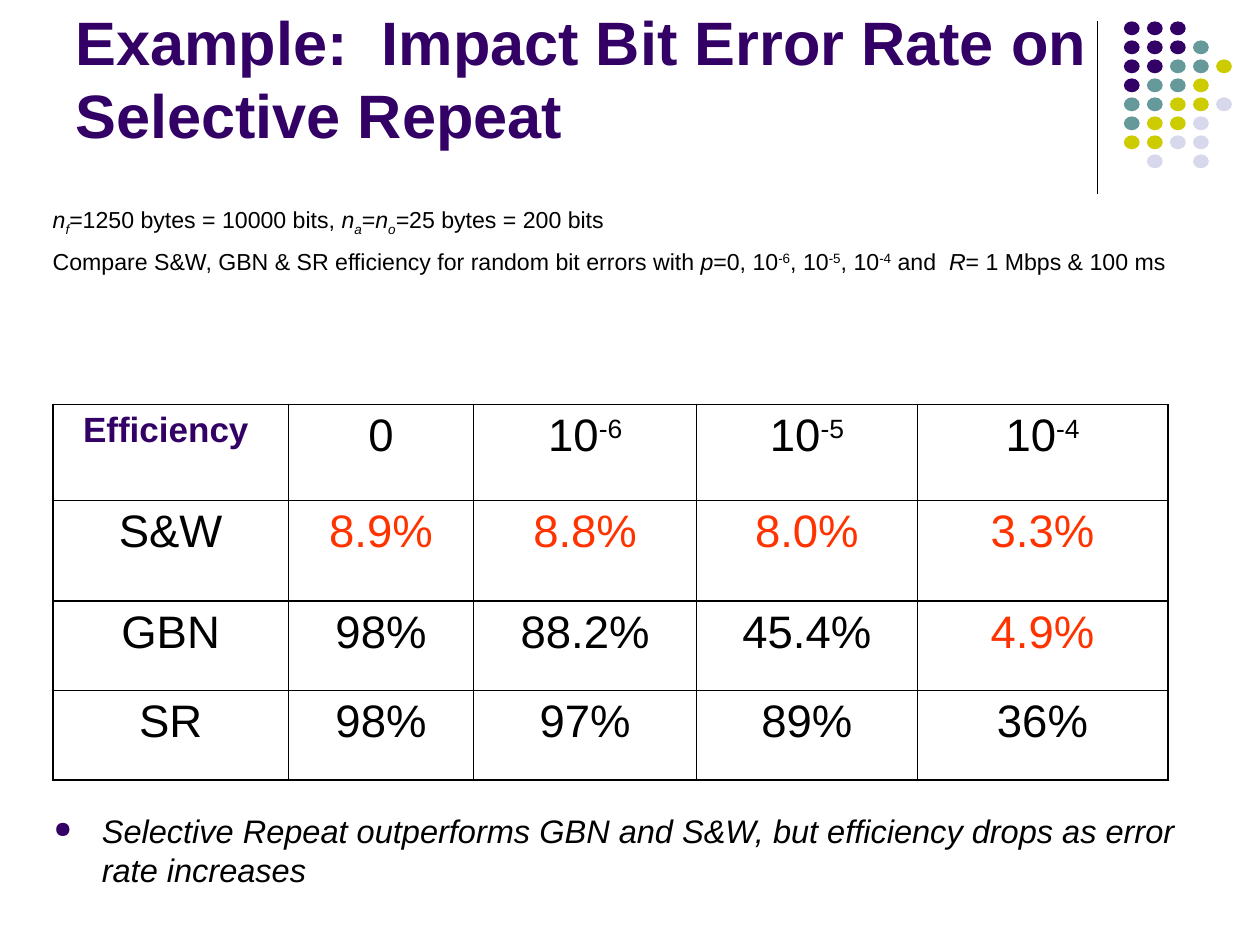
from dataclasses import dataclass
from lxml.etree import SubElement
from pptx import Presentation
from pptx.dml.color import RGBColor
from pptx.enum.shapes import MSO_CONNECTOR, MSO_SHAPE
from pptx.enum.text import MSO_ANCHOR, PP_ALIGN
from pptx.oxml import parse_xml
from pptx.oxml.ns import nsdecls, qn
from pptx.util import Inches, Pt


@dataclass(frozen=True)
class Theme:
    font: str = "Arial"
    ink: str = "000000"
    plum: str = "330066"
    teal: str = "669999"
    lime: str = "CCCC00"
    mist: str = "D8D8EC"
    red: str = "FF3300"
    title: float = 35
    body: float = 13.2
    head: float = 20
    cell: float = 26
    note: float = 18.6
    thin: float = 0.45
    thick: float = 1.08


LOOK = Theme()
WIDE, HIGH = 10, 7.5

DOTS = ["PPP", "PPPT", "PPTTL", "PTTL", "TTLLM", "TLLM", "LLMM", " M M"]
HUES = {"P": LOOK.plum, "T": LOOK.teal, "L": LOOK.lime, "M": LOOK.mist}

COLS = [18.7, 14.7, 17.7, 17.5, 19.9]
ROWS = [10.13, 10.67, 9.47, 9.47]
RATES = [
    ["Efficiency ", "0", *[[("10", ""), (p, "^")] for p in ("-6", "-5", "-4")]],
    ["S&W", "8.9%", "8.8%", "8.0%", "3.3%"],
    ["GBN", "98%", "88.2%", "45.4%", "4.9%"],
    ["SR", "98%", "97%", "89%", "36%"],
]
POOR = {(1, 1), (1, 2), (1, 3), (1, 4), (2, 4)}

SETUP = [
    [("n", "i"), ("f", "i_"), ("=1250 bytes = 10000 bits, ", ""), ("n", "i"),
     ("a", "i_"), ("=", ""), ("n", "i"), ("o", "i_"), ("=", "i"),
     ("25 bytes = 200 bits", "")],
    [("Compare S&W, GBN & SR efficiency for random bit errors with ", ""),
     ("p", "i"), ("=0, 10", ""), ("-6", "^"), (", 10", ""), ("-5", "^"),
     (", 10", ""), ("-4", "^"), (" and  ", ""), ("R", "i"),
     ("= 1 Mbps & 100 ms", "")],
]


def across(share):
    return Inches(WIDE * share / 100)


def down(share):
    return Inches(HIGH * share / 100)


def area(left, top, width, height):
    return across(left), down(top), across(width), down(height)


def tint(code):
    return RGBColor.from_string(code)


def mark(para, code):
    props = para._p.get_or_add_pPr()
    props.set("marL", str(Inches(0.38)))
    props.set("indent", str(-Inches(0.38)))
    color = SubElement(props, qn("a:buClr"))
    SubElement(color, qn("a:srgbClr"), val=code)
    SubElement(props, qn("a:buSzPct"), val="70000")
    SubElement(props, qn("a:buChar"), char="●")


def write(frame, *paras, size, color=LOOK.ink, bold=False, align=PP_ALIGN.LEFT,
          anchor=MSO_ANCHOR.TOP, bullet=None):
    frame.word_wrap = True
    frame.vertical_anchor = anchor
    for num, runs in enumerate(paras):
        para = frame.add_paragraph() if num else frame.paragraphs[0]
        if bullet:
            mark(para, bullet)
        para.alignment = align
        para.space_before = Pt(6 if num else 0)
        for words, style in [(runs, "")] if isinstance(runs, str) else runs:
            run = para.add_run()
            run.text = words
            font = run.font
            font.name, font.size, font.bold = LOOK.font, Pt(size), bold
            font.italic = "i" in style
            font.color.rgb = tint(color)
            for sign, shift in (("^", "30000"), ("_", "-25000")):
                if sign in style:
                    run._r.get_or_add_rPr().set("baseline", shift)


def label(slide, box, *paras, **look):
    write(slide.shapes.add_textbox(*area(*box)).text_frame, *paras, **look)


def rule(slide, left, top, end):
    line = slide.shapes.add_connector(
        MSO_CONNECTOR.STRAIGHT, across(left), down(top), across(left), down(end))
    line.line.color.rgb = tint(LOOK.ink)
    line.line.width = Pt(0.75)
    SubElement(line._element.spPr, qn("a:effectLst"))


def dots(slide):
    group = slide.shapes.add_group_shape()
    for row, codes in enumerate(DOTS):
        for col, code in enumerate(codes):
            if code == " ":
                continue
            box = area(89.2 + 1.83 * col, 2.27 + 2.01 * row, 1.25, 1.47)
            dot = group.shapes.add_shape(MSO_SHAPE.OVAL, *box)
            dot.shadow.inherit = False
            dot.fill.solid()
            dot.fill.fore_color.rgb = tint(HUES[code])
            dot.line.fill.background()


def edge(cell, side, width):
    cell._tc.get_or_add_tcPr().append(parse_xml(
        f'<a:ln{side} {nsdecls("a")} w="{Pt(width)}"><a:solidFill>'
        f'<a:srgbClr val="{LOOK.ink}"/></a:solidFill></a:ln{side}>'))


def grid(slide):
    box = area(4.2, 42.8, sum(COLS), sum(ROWS))
    table = slide.shapes.add_table(len(ROWS), len(COLS), *box).table
    table.first_row = table.horz_banding = False
    for col, share in zip(table.columns, COLS):
        col.width = across(share)
    for row, share in zip(table.rows, ROWS):
        row.height = down(share)
    ups = [LOOK.thick] + [LOOK.thin] * (len(COLS) - 1) + [LOOK.thick]
    flats = [LOOK.thick, LOOK.thin] + [LOOK.thick] * (len(ROWS) - 1)
    for r, line in enumerate(RATES):
        for c, words in enumerate(line):
            cell = table.cell(r, c)
            for side, width in zip("LRTB", (*ups[c:c + 2], *flats[r:r + 2])):
                edge(cell, side, width)
            cell.fill.background()
            head = r == c == 0
            color = LOOK.red if (r, c) in POOR else LOOK.ink
            write(cell.text_frame, words, align=PP_ALIGN.CENTER, bold=head,
                  size=LOOK.head if head else LOOK.cell,
                  color=LOOK.plum if head else color)


def main():
    deck = Presentation()
    deck.slide_width, deck.slide_height = Inches(WIDE), Inches(HIGH)
    slide = deck.slides.add_slide(deck.slide_layouts[6])
    rule(slide, 87.1, 2.27, 20.53)
    dots(slide)
    label(slide, (5, 1.73, 82.5, 14.93),
          "Example:  Impact Bit Error Rate on Selective Repeat",
          size=LOOK.title, color=LOOK.plum, bold=True, anchor=MSO_ANCHOR.BOTTOM)
    label(slide, (3.2, 21.07, 94.7, 12.53), *SETUP, size=LOOK.body)
    grid(slide)
    label(slide, (3.3, 85.2, 93.5, 10),
          [("Selective Repeat outperforms GBN and S&W, but efficiency drops "
            "as error rate increases", "i")],
          size=LOOK.note, bullet=LOOK.plum)
    deck.save("out.pptx")


if __name__ == "__main__":
    main()
